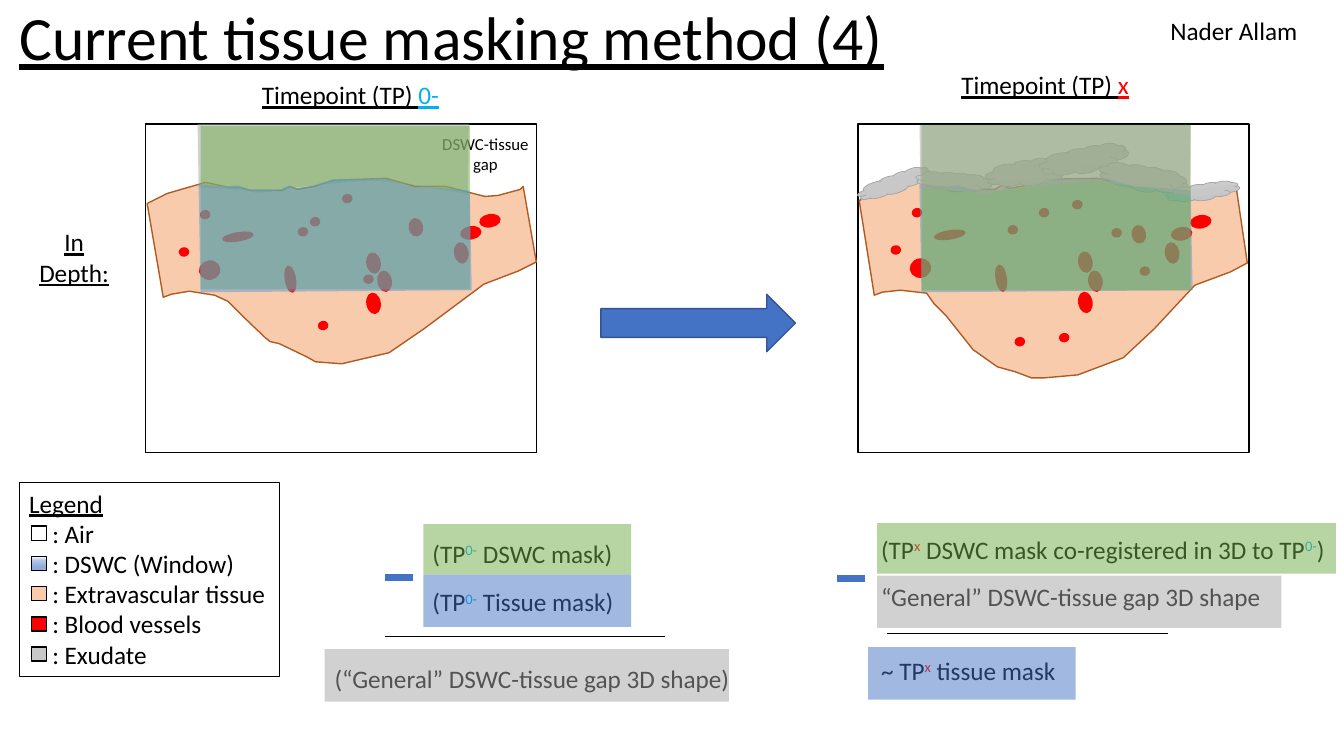
"""Build the slide that explains the tissue masking method."""
import math
from dataclasses import dataclass

from lxml import etree
from pptx import Presentation
from pptx import util as u
from pptx.dml import color
from pptx.enum import shapes, text
from pptx.oxml import ns


@dataclass(frozen=True)
class Theme:
    """Colours and type sizes of the slide."""
    font: str = "Calibri"
    title: int = 44
    body: int = 18
    small: int = 12
    black: str = "000000"
    white: str = "FFFFFF"
    baseline: str = "00B0F0"
    red: str = "FF0000"
    blue: str = "4472C4"
    arrow_edge: str = "325491"
    green: str = "70AD47"
    grey: str = "A5A5A5"
    window: str = "5B9BD5"
    tissue: str = "F8CBAD"
    tissue_edge: str = "AF5C24"
    exudate: str = "C8C8C8"
    window_stops: tuple = ((0, "FFFFFF"), (29, "B4C7E7"), (75, "8FAADC"), (100, "8FAADC"))
    exudate_stops: tuple = ((0, "D2D2D2"), (50, "C8C8C8"), (100, "C0C0C0"))


THEME = Theme()
KIND = shapes.MSO_SHAPE
CENTER = text.PP_ALIGN.CENTER
ZERO = ("0-", {"color": THEME.baseline, "raised": True})
LATER = ("x", {"color": THEME.red, "raised": True})

WINDOW = [(.55, 1.67), (.53, .6), (.81, .62), (.92, .61), (1.04, .65), (1.22, .65), (1.34, .65),
          (1.42, .61), (1.49, .64), (1.67, .61), (1.86, .55), (2.37, .54), (2.66, .62),
          (2.75, .62), (3.22, .66), (3.23, 1.16), (3.24, 1.65)]
GAP = [(3.21, 0), (3.2, .7), (2.92, .65), (2.86, .64), (2.59, .6), (2.25, .56), (1.98, .58),
       (1.49, .63), (1.13, .69), (.99, .66), (.53, .63), (.52, 0)]
BEFORE = {
    "tissue": [(.02, .79), (.22, .69), (.6, .58), (.83, .63), (.93, .63), (1.05, .66), (1.24, .66),
               (1.36, .66), (1.44, .62), (1.51, .65), (1.68, .62), (1.87, .56), (2.39, .54),
               (2.68, .62), (2.77, .62), (2.98, .62), (3.37, .72), (3.5, .71), (3.72, .65),
               (3.75, .62), (3.88, 1.37), (3.7, 1.46), (3.36, 1.59), (2.77, 2.03), (2.42, 2.27),
               (1.95, 2.38), (1.69, 2.36), (1.6, 2.31), (1.33, 2.18), (1.24, 2.16), (1.19, 2.12),
               (.97, 1.91), (.82, 1.76), (.69, 1.7), (.44, 1.66), (.26, 1.69), (.18, 1.72)],
    "center": (2, 1.36), "angle": 350.7, "clouds": [], "label": "DSWC-tissue gap",
    "vessels": {(.09, .08): [(.34, 1.23), (2.17, 1.5), (1.64, .93), (1.72, 1.96), (.55, .86),
                             (1.52, 1.03), (1.96, .7)],
                (.2, .18): [(.54, 1.36)], (.3, .08): [(.77, 1.08)], (.1, .26): [(1.39, 1.41)],
                (.13, .2): [(2.2, 1.68), (2.31, 1.46), (2.2, 1.28), (3.07, 1.18)],
                (.2, .12): [(3.32, .9), (3.13, 1.02)], (.13, .17): [(2.62, .94)]},
    "layers": ["gap", "mask", "window"], "mask": (.55, .02, 2.67, 1.62),
    "window_shift": (0, 0), "gap_shift": (0, 0)}
AFTER = {
    "tissue": [(.01, .76), (.21, .67), (.6, .56), (.82, .62), (.93, .61), (1.04, .65), (1.23, .65),
               (1.35, .65), (1.43, .61), (1.5, .64), (1.68, .61), (1.86, .55), (2.38, .54),
               (2.67, .62), (2.76, .62), (2.97, .63), (3.36, .72), (3.49, .71), (3.71, .66),
               (3.75, .63), (3.86, 1.38), (3.69, 1.47), (3.34, 1.6), (2.94, 2.03), (2.63, 2.32),
               (2.18, 2.49), (1.85, 2.52), (1.72, 2.52), (1.56, 2.46), (1.38, 2.41), (1.14, 2.24),
               (.87, 1.9), (.75, 1.78), (.68, 1.68), (.42, 1.65), (.24, 1.67), (.16, 1.7)],
    "center": (2, 1.44), "angle": 351.1, "label": None,
    "vessels": {(.09, .08): [(.33, 1.21), (.54, .84), (2.8, 1.42), (2.52, 1.04), (1.56, 2.12),
                             (2, 2.08), (1.49, 1.01), (1.8, .84), (2.13, .76)],
                (.2, .18): [(.52, 1.34)], (.3, .08): [(.76, 1.06)], (.1, .26): [(1.37, 1.4)],
                (.13, .2): [(2.19, 1.67), (2.29, 1.46), (2.19, 1.27), (3.05, 1.18)],
                (.2, .12): [(3.3, .91), (3.11, 1.03)], (.13, .17): [(2.72, 1.01)]},
    "clouds": [(-.02, .5, .76, .19, 342), (.57, .48, .76, .19, 6.4), (1.26, .35, .9, .26, 353.7),
               (1.79, .23, .9, .26, 351.1), (2.38, .41, .9, .26, 11.3), (3.05, .59, .74, .17, 353.7)],
    "layers": ["window", "mask", "gap"], "mask": (.63, .01, 2.67, 1.64),
    "window_shift": (.08, 0), "gap_shift": (.09, .01)}


def apply(target, values):
    """Set each attribute named in values on target."""
    for name, value in values.items():
        setattr(target, name, value)


def paint(shape, fill=None, line=None, width=1, alpha=None, stops=None):
    """Give a shape its fill and outline, without shadow."""
    shape.shadow.inherit = False
    if stops:
        shape.fill.gradient()
        shape.fill.gradient_angle = 270
        stop_list = next(shape._element.spPr.iter(ns.qn("a:gsLst")))
        stop_list.clear()
        for position, value in stops:
            stop = etree.SubElement(stop_list, ns.qn("a:gs"), pos=str(position * 1000))
            etree.SubElement(stop, ns.qn("a:srgbClr"), val=value)
    elif fill:
        shape.fill.solid()
        shape.fill.fore_color.rgb = color.RGBColor.from_string(fill)
    else:
        shape.fill.background()
    if alpha:
        tint = next(shape._element.spPr.iter(ns.qn("a:srgbClr")))
        etree.SubElement(tint, ns.qn("a:alpha"), val=str(alpha * 1000))
    if line:
        shape.line.color.rgb = color.RGBColor.from_string(line)
        shape.line.width = u.Pt(width)
    else:
        shape.line.fill.background()


def add_preset(slide, kind, box, angle=0, **look):
    """Add a painted preset shape."""
    shape = slide.shapes.add_shape(kind, *map(u.Inches, box))
    shape.rotation = angle
    paint(shape, **look)
    return shape


def add_outline(slide, points, center, angle, origin, **look):
    """Add a rotated freeform whose visible points are relative to origin."""
    cosine, sine = math.cos(math.radians(-angle)), math.sin(math.radians(-angle))
    corners = []
    for x, y in points:
        across, down = x - center[0], y - center[1]
        corners.append((u.Inches(origin[0] + center[0] + across * cosine - down * sine),
                        u.Inches(origin[1] + center[1] + across * sine + down * cosine)))
    builder = slide.shapes.build_freeform(*corners[0], scale=1.0)
    builder.add_line_segments(corners[1:], close=True)
    shape = builder.convert_to_shape()
    shape.rotation = angle
    paint(shape, **look)


def add_rule(slide, left, top, length, tint, width):
    """Add a horizontal line."""
    rule = slide.shapes.add_connector(shapes.MSO_CONNECTOR.STRAIGHT,
                                      *map(u.Inches, (left, top, left + length, top)))
    rule.line.color.rgb = color.RGBColor.from_string(tint)
    rule.line.width = u.Pt(width)
    etree.SubElement(rule._element.spPr, ns.qn("a:effectLst"))


def write(paragraph, runs, size=THEME.body, align=text.PP_ALIGN.LEFT, underline=False):
    """Fill a paragraph with (wording, style) runs."""
    paragraph.alignment = align
    for wording, style in runs:
        run = paragraph.add_run()
        run.text = wording
        apply(run.font, {"name": THEME.font, "size": u.Pt(size), "underline": underline})
        run.font.color.rgb = color.RGBColor.from_string(style.get("color", THEME.black))
        if style.get("raised"):
            run._r.get_or_add_rPr().set("baseline", "30000")


def add_label(slide, box, runs, **style):
    """Add a wrapped text box with one paragraph."""
    label = slide.shapes.add_textbox(*map(u.Inches, box))
    apply(label.text_frame, {"word_wrap": True, "auto_size": text.MSO_AUTO_SIZE.SHAPE_TO_FIT_TEXT})
    write(label.text_frame.paragraphs[0], runs, **style)


def add_title(slide, box, wording):
    """Place the title placeholder."""
    title = slide.shapes.title
    apply(title, dict(zip(("left", "top", "width", "height"), map(u.Inches, box))))
    apply(title.text_frame, {"vertical_anchor": text.MSO_ANCHOR.MIDDLE, "word_wrap": True,
                             "auto_size": text.MSO_AUTO_SIZE.NONE})
    paragraph = title.text_frame.paragraphs[0]
    paragraph.line_spacing = .9
    write(paragraph, [(wording, {})], THEME.title, underline=True)


def add_legend(slide, box):
    """Add the legend frame, its entries and their swatches."""
    entries = [("Air", {"fill": THEME.white}), ("DSWC (Window)", {"stops": THEME.window_stops}),
               ("Extravascular tissue", {"fill": THEME.tissue}),
               ("Blood vessels", {"fill": THEME.red}), ("Exudate", {"fill": THEME.exudate})]
    frame = add_preset(slide, KIND.RECTANGLE, box, line=THEME.black, width=.75).text_frame
    apply(frame, {"vertical_anchor": text.MSO_ANCHOR.TOP, "word_wrap": True})
    write(frame.paragraphs[0], [("Legend", {})], underline=True)
    for index, (name, look) in enumerate(entries):
        paragraph = frame.add_paragraph()
        paragraph._p.get_or_add_pPr().set("marL", str(u.Inches(.23)))
        write(paragraph, [(": " + name, {})])
        add_preset(slide, KIND.RECTANGLE, (box[0] + .12, box[1] + .43 + .3 * index, .15, .14),
                   line=THEME.black, **look)


def add_panel(slide, box, view):
    """Draw one depth view of the tissue inside its frame."""
    left, top = box[:2]
    add_preset(slide, KIND.RECTANGLE, box, line=THEME.black)
    add_outline(slide, view["tissue"], view["center"], view["angle"], (left, top),
                fill=THEME.tissue, line=THEME.tissue_edge)
    for size, places in view["vessels"].items():
        for x, y in places:
            add_preset(slide, KIND.OVAL, (left + x, top + y, *size), view["angle"],
                       fill=THEME.red, line=THEME.red)
    for x, y, width, height, angle in view["clouds"]:
        add_preset(slide, KIND.CLOUD, (left + x, top + y, width, height), angle,
                   stops=THEME.exudate_stops, line=THEME.grey, width=.5)
    if view["label"]:
        add_label(slide, (left + 2.77, top + .05, 1.21, .5), [(view["label"], {})],
                  size=THEME.small, align=CENTER)
    outlines = {"window": (WINDOW, (1.88, 1.12), 351.1, THEME.window),
                "gap": (GAP, (1.88, .35), 354.7, THEME.grey)}
    for layer in view["layers"]:
        if layer == "mask":
            x, y, *size = view["mask"]
            add_preset(slide, KIND.FLOWCHART_PROCESS, (left + x, top + y, *size),
                       fill=THEME.green, alpha=50)
        else:
            points, center, angle, fill = outlines[layer]
            x, y = view[layer + "_shift"]
            add_outline(slide, points, center, angle, (left + x, top + y), fill=fill, alpha=50)


def add_subtraction(slide, box, terms, minus, rule):
    """Write a subtraction of masks, each under a translucent tile."""
    left, top, width = box
    for runs, (text_x, text_y), (x, y, *size), fill in terms:
        add_label(slide, (left + text_x, top + text_y, width, .4), runs)
        add_preset(slide, KIND.FLOWCHART_PROCESS, (left + x, top + y, *size), fill=fill, alpha=50)
    add_rule(slide, left + minus[0], top + minus[1], .28, THEME.blue, 4.5)
    add_rule(slide, left + rule[0], top + rule[1], 2.78, THEME.black, .5)


def main():
    """Build and save the presentation."""
    presentation = Presentation()
    apply(presentation, {"slide_width": u.Inches(13.33), "slide_height": u.Inches(7.5)})
    slide = presentation.slides.add_slide(presentation.slide_layouts[5])
    add_title(slide, (.09, -.32, 11.5, 1.45), "Current tissue masking method (4)")
    add_label(slide, (11.51, .1, 1.58, .4), [("Nader Allam", {})])
    for box, (mark, style) in (((2.06, .74, 2.83, .4), ZERO), ((8.95, .64, 2.83, .4), LATER)):
        add_label(slide, box, [("Timepoint (TP) ", {}), (mark, {"color": style["color"]})],
                  align=CENTER, underline=True)
    add_label(slide, (.17, 2.2, 1.13, .71), [("In Depth:", {})], align=CENTER, underline=True)
    add_preset(slide, KIND.RIGHT_ARROW, (5.96, 2.92, 1.93, .57), fill=THEME.blue,
               line=THEME.arrow_edge)
    add_legend(slide, (.19, 4.79, 2.58, 1.92))
    for left, view in ((1.44, BEFORE), (8.51, AFTER)):
        add_panel(slide, (left, 1.23, 3.88, 3.26), view)
    add_subtraction(slide, (3.22, 5.2, 6.75), [
        ([("(TP", {}), ZERO, (" DSWC mask)", {})], (.97, .09), (.98, 0, 2.06, .5), THEME.green),
        ([("(TP", {}), ZERO, (" Tissue mask)", {})], (.97, .57), (.98, .5, 2.06, .52), THEME.blue),
        ([("(“General” DSWC-tissue gap 3D shape)", {})], (0, 1.33), (0, 1.24, 4.01, .52),
         THEME.grey)], (.6, .53), (.6, 1.11))
    add_subtraction(slide, (8.3, 5.19, 4.69), [
        ([("(TP", {}), LATER, (" DSWC mask co-registered in 3D to TP", {}), ZERO, (")", {})],
         (.34, .06), (.4, 0, 4.55, .5), THEME.green),
        ([("“General” DSWC-tissue gap 3D shape", {})], (.34, .53), (.4, .52, 4.01, .52), THEME.grey),
        ([("~ TP", {}), LATER, (" tissue mask", {})], (.34, 1.26), (.31, 1.23, 2.06, .52),
         THEME.blue)], (0, .55), (.5, 1.09))
    presentation.save("out.pptx")


if __name__ == "__main__":
    main()
